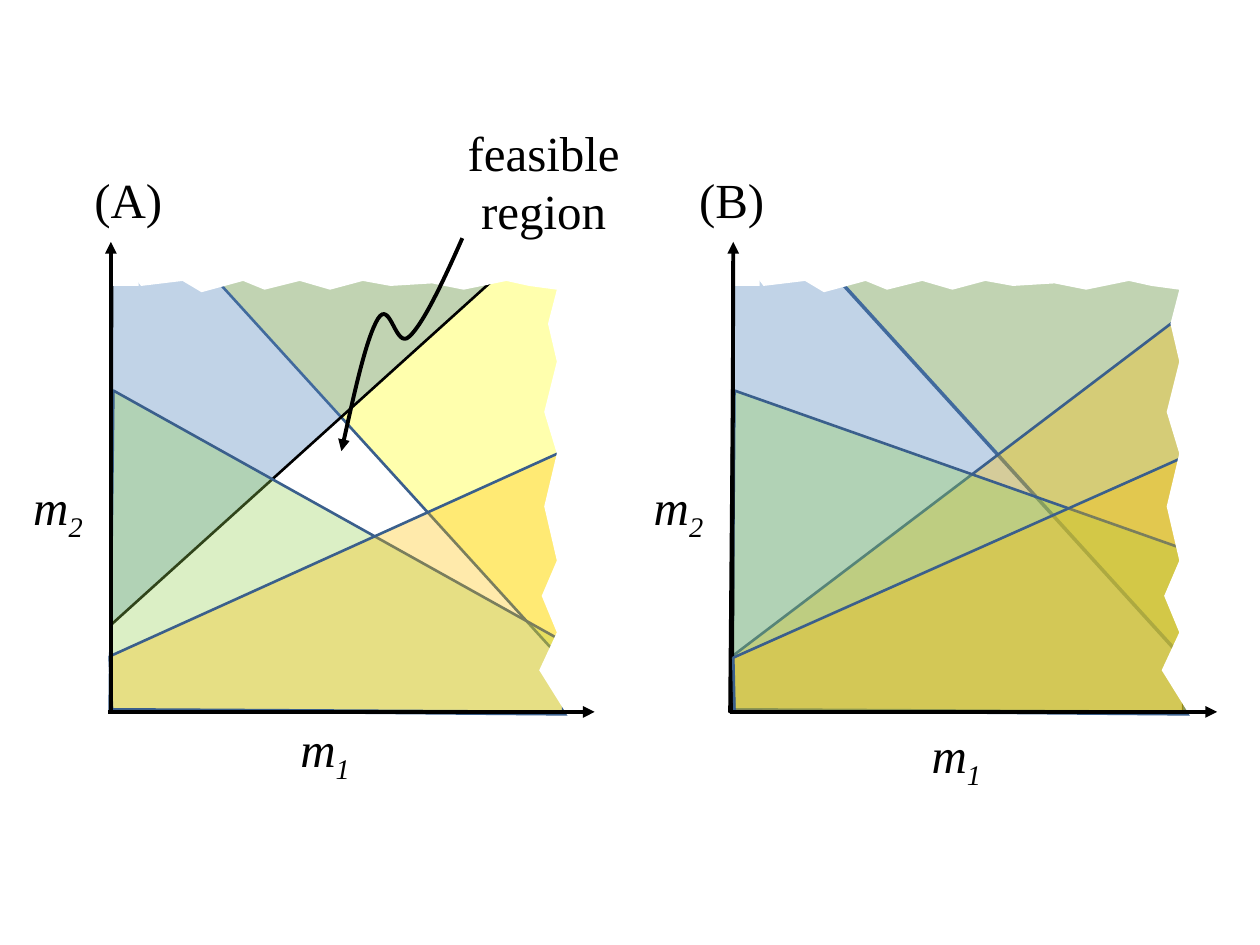
import pptx
import pptx.dml.color
import pptx.enum.shapes
import pptx.enum.text
import pptx.oxml
import pptx.oxml.ns
import pptx.util
from pptx.util import Inches

BLACK, WHITE, EDGE = "000000", "FFFFFF", "3A5F8C"
YELLOW, BLUE, GREEN, AMBER = "FFFF00", "4F81BD", "92D050", "FFC000"
PANEL_SHIFT = 4.94
CENTER = pptx.enum.text.PP_ALIGN.CENTER
LEFT = pptx.enum.text.PP_ALIGN.LEFT

HALF_PLANE_YELLOW = [(1.68, 2.18), (4.48, 5.26), (4.48, 2.2), (2.22, 2.2)]
TORN_EDGE = [
    (0.98, 2.08), (1.12, 2.27), (1.45, 2.23), (1.6, 2.32), (1.93, 2.23),
    (2.1, 2.3), (2.38, 2.23), (2.62, 2.3), (2.88, 2.23), (3.1, 2.27),
    (3.43, 2.25), (3.68, 2.3), (4.02, 2.23), (4.2, 2.27), (4.42, 2.3),
    (4.35, 2.57), (4.42, 2.87), (4.32, 3.27), (4.42, 3.6), (4.32, 4.02),
    (4.42, 4.45), (4.3, 4.73), (4.42, 5.02), (4.28, 5.32), (4.63, 5.88),
    (4.65, 2.08),
]


def color(hex_string):
    return pptx.dml.color.RGBColor.from_string(hex_string)


def shifted(points, dx):
    return [(x + dx, y) for x, y in points]


class Diagram:
    font = "Times New Roman"
    size = 28
    axis_width = 2.25

    def __init__(self, slide):
        self.slide = slide
        self.shapes = slide.shapes

    def outline(self, points, close):
        (x, y), *rest = [(Inches(px), Inches(py)) for px, py in points]
        builder = self.shapes.build_freeform(x, y)
        builder.add_line_segments(rest, close=close)
        shape = builder.convert_to_shape()
        shape.shadow.inherit = False
        return shape

    def stroke(self, line, hex_string, width):
        line.color.rgb = color(hex_string)
        line.width = pptx.util.Pt(width)

    def arrowhead(self, line_parent, end):
        ln = line_parent.find(pptx.oxml.ns.qn("a:ln"))
        ln.append(pptx.oxml.parse_xml(
            f'<a:{end} {pptx.oxml.ns.nsdecls("a")} type="triangle"/>'))

    def region(self, points, fill, opacity, edge=EDGE, width=1.5):
        """Translucent half-plane with its boundary line."""
        shape = self.outline(points, close=True)
        shape.fill.solid()
        shape.fill.fore_color.rgb = color(fill)
        clr = shape._element.spPr.find(".//" + pptx.oxml.ns.qn("a:srgbClr"))
        clr.append(pptx.oxml.parse_xml(
            f'<a:alpha {pptx.oxml.ns.nsdecls("a")} val="{opacity * 1000}"/>'))
        self.stroke(shape.line, edge, width)

    def whiten(self, shape):
        shape.shadow.inherit = False
        shape.fill.solid()
        shape.fill.fore_color.rgb = color(WHITE)
        shape.line.fill.background()

    def torn_edge(self, dx):
        self.whiten(self.outline(shifted(TORN_EDGE, dx), close=True))

    def corner_cover(self, left):
        self.whiten(self.shapes.add_shape(
            pptx.enum.shapes.MSO_SHAPE.RECTANGLE,
            Inches(left), Inches(2.12), Inches(0.45), Inches(0.15)))

    def axis(self, start, end):
        arrow = self.shapes.add_connector(
            pptx.enum.shapes.MSO_CONNECTOR.STRAIGHT,
            *[Inches(v) for v in (*start, *end)])
        self.stroke(arrow.line, BLACK, self.axis_width)
        self.arrowhead(arrow._element.spPr, "tailEnd")
        arrow._element.spPr.append(pptx.oxml.parse_xml(
            f'<a:effectLst {pptx.oxml.ns.nsdecls("a")}/>'))

    def curved_pointer(self, points):
        """Bezier curve: a start point, then three points for each piece."""
        curve = self.outline(points, close=False)
        curve.fill.background()
        self.stroke(curve.line, BLACK, self.axis_width)
        self.arrowhead(curve._element.spPr, "headEnd")
        qn = pptx.oxml.ns.qn
        route = curve._element.spPr.find(".//" + qn("a:path"))
        segments = route.findall(qn("a:lnTo"))
        for i in range(0, len(segments), 3):
            piece = pptx.oxml.parse_xml(
                f'<a:cubicBezTo {pptx.oxml.ns.nsdecls("a")}/>')
            for segment in segments[i:i + 3]:
                piece.append(segment[0])
                route.remove(segment)
            route.append(piece)

    def label(self, box, text, subscript="", italic=False, align=CENTER):
        frame = self.shapes.add_textbox(*[Inches(v) for v in box]).text_frame
        frame.word_wrap = True
        frame.auto_size = pptx.enum.text.MSO_AUTO_SIZE.SHAPE_TO_FIT_TEXT
        paragraph = frame.paragraphs[0]
        paragraph.text = text
        paragraph.alignment = align
        if subscript:
            index = paragraph.add_run()
            index.text = subscript
            index._r.get_or_add_rPr().set("baseline", "-25000")
        for run in paragraph.runs:
            run.font.name = self.font
            run.font.size = pptx.util.Pt(self.size)
            run.font.italic = italic
            run.font.color.rgb = color(BLACK)


def main():
    prs = pptx.Presentation()
    prs.slide_width, prs.slide_height = Inches(10), Inches(7.5)
    diagram = Diagram(prs.slides.add_slide(prs.slide_layouts[6]))

    # Panel A: constraints that leave a feasible region
    diagram.region(HALF_PLANE_YELLOW, YELLOW, 32)
    diagram.region([(0.88, 4.96), (3.96, 2.18), (1.96, 2.18), (0.89, 2.21)],
                   BLUE, 35, edge=BLACK)
    diagram.region([(0.9, 3.1), (4.52, 5.12), (4.52, 5.67), (0.87, 5.64)],
                   GREEN, 33)
    diagram.region([(0.87, 5.21), (4.47, 3.58), (4.47, 5.65), (0.89, 5.63)],
                   AMBER, 33)
    diagram.torn_edge(0)
    diagram.corner_cover(0.65)
    diagram.axis((0.88, 5.65), (0.88, 1.92))
    diagram.axis((0.86, 5.65), (4.72, 5.65))

    # Panel B: constraints that leave none
    diagram.region(shifted(HALF_PLANE_YELLOW, PANEL_SHIFT), YELLOW, 32, width=2)
    diagram.region([(5.79, 5.65), (9.39, 5.65), (9.39, 2.18), (6.9, 2.18),
                    (5.82, 2.21)], BLUE, 35, edge=BLACK)
    diagram.region([(5.81, 5.21), (9.45, 2.45), (9.4, 5.65), (5.83, 5.63)],
                   AMBER, 33)
    diagram.region([(5.83, 3.1), (9.43, 4.37), (9.45, 5.67), (5.81, 5.64)],
                   GREEN, 33)
    diagram.corner_cover(5.58)
    diagram.axis((5.81, 5.65), (5.82, 1.92))
    diagram.region([(5.82, 5.22), (9.39, 3.63), (9.42, 5.65), (5.83, 5.65)],
                   AMBER, 33)
    diagram.torn_edge(PANEL_SHIFT)
    diagram.axis((5.79, 5.65), (9.66, 5.65))

    # Panel titles and axis names
    for title, left in (("(A)", 0.65), ("(B)", 5.45)):
        diagram.label((left, 1.3, 1.07, 0.57), title, align=LEFT)
    for index, box in (("1", (0.78, 5.65, 3.6, 0.57)),
                       ("1", (5.79, 5.7, 3.6, 0.57)),
                       ("2", (0, 3.73, 0.92, 0.57)),
                       ("2", (4.92, 3.73, 0.93, 0.57))):
        diagram.label(box, "m", subscript=index, italic=True)

    # Callout to the feasible region
    diagram.curved_pointer([
        (2.71, 3.58), (2.81, 3.13), (2.91, 2.68), (3, 2.53), (3.1, 2.37),
        (3.14, 2.78), (3.25, 2.67), (3.36, 2.57), (3.52, 2.23), (3.67, 1.89)])
    diagram.label((3.58, 0.92, 1.47, 1.04), "feasible region")

    prs.save("out.pptx")


if __name__ == "__main__":
    main()
